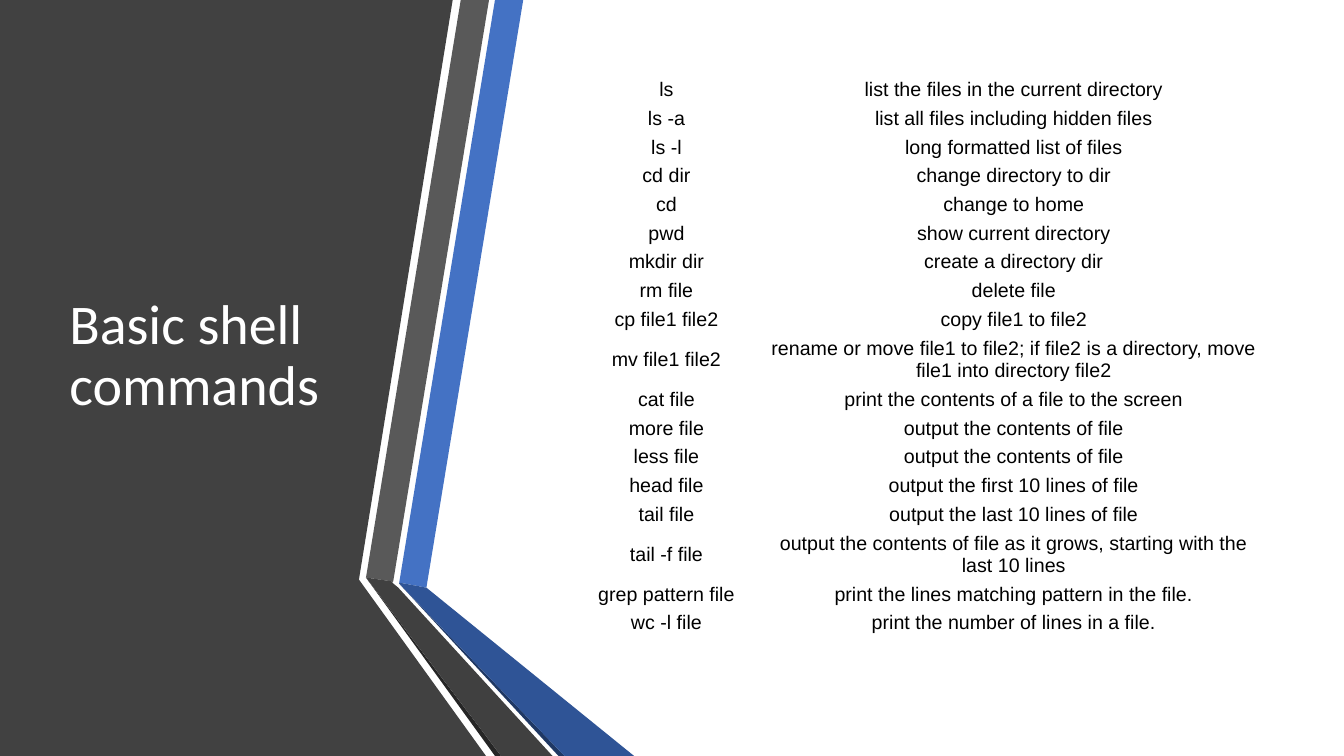
from pptx import Presentation
from pptx.dml.color import RGBColor
from pptx.enum.text import MSO_ANCHOR as Anchor, PP_ALIGN as Align
from pptx.util import Inches, Pt

WHITE = RGBColor(0xFF, 0xFF, 0xFF)
BLACK = RGBColor(0x00, 0x00, 0x00)
CHARCOAL = RGBColor(0x41, 0x41, 0x41)
GREY = RGBColor(0x59, 0x59, 0x59)
GREY_FOLD = RGBColor(0x40, 0x40, 0x40)
GREY_EDGE = RGBColor(0x26, 0x26, 0x26)
BLUE = RGBColor(0x44, 0x72, 0xC4)
BLUE_FOLD = RGBColor(0x2F, 0x54, 0x96)
BLUE_EDGE = RGBColor(0x1F, 0x38, 0x64)

CONTENT_TOP = 0.75
CONTENT_HEIGHT = 5.58
WRAPPED_ROW = 0.51
COLUMN_WIDTHS = (2.04, 4.85)

BANDS = [
    (CHARCOAL, [(0, 0), (4.49, 0), (3.56, 5.75), (4.82, 7.5), (0, 7.5)]),
    (BLUE, [(3.96, 5.78), (4.23, 5.83), (5.19, 0), (4.91, 0)]),
    (GREY, [(4.85, 0), (4.57, 0), (3.63, 5.73), (3.9, 5.77)]),
    (GREY_EDGE, [(3.63, 5.73), (4.91, 7.5), (4.97, 7.5)]),
    (BLUE_EDGE, [(3.96, 5.79), (5.54, 7.5), (5.6, 7.5)]),
    (BLUE_FOLD, [(3.96, 5.78), (3.96, 5.79), (5.6, 7.5), (6.29, 7.5), (4.23, 5.83)]),
    (GREY_FOLD, [(5.48, 7.5), (3.95, 5.83), (3.89, 5.78), (3.9, 5.77),
                 (3.63, 5.73), (4.97, 7.5)]),
]

COMMANDS = [
    ("ls", "list the files in the current directory"),
    ("ls -a", "list all files including hidden files"),
    ("ls -l", "long formatted list of files"),
    ("cd dir", "change directory to dir"),
    ("cd", "change to home"),
    ("pwd", "show current directory"),
    ("mkdir dir", "create a directory dir"),
    ("rm file", "delete file"),
    ("cp file1 file2", "copy file1 to file2"),
    ("mv file1 file2", "rename or move file1 to file2; if file2 is a directory, "
                       "move file1 into directory file2"),
    ("cat file", "print the contents of a file to the screen"),
    ("more file", "output the contents of file"),
    ("less file", "output the contents of file"),
    ("head file", "output the first 10 lines of file"),
    ("tail file", "output the last 10 lines of file"),
    ("tail -f file", "output the contents of file as it grows, starting with the "
                     "last 10 lines"),
    ("grep pattern file", "print the lines matching pattern in the file."),
    ("wc -l file", "print the number of lines in a file."),
]
WRAPPED_COMMANDS = {"mv file1 file2", "tail -f file"}


def set_format(target, values):
    for attribute, value in values.items():
        setattr(target, attribute, value)


def write_text(paragraph, text, font, size, color):
    run = paragraph.add_run()
    run.text = text
    set_format(run.font, {"name": font, "size": Pt(size)})
    run.font.color.rgb = color


def add_band(slide, color, corners):
    points = [(Inches(x), Inches(y)) for x, y in corners]
    outline = slide.shapes.build_freeform(*points[0])
    outline.add_line_segments(points[1:], close=True)
    band = outline.convert_to_shape()
    band.shadow.inherit = False
    band.fill.solid()
    band.fill.fore_color.rgb = color
    band.line.fill.background()


def add_title(slide, text):
    title = slide.shapes.add_textbox(
        Inches(0.59), Inches(CONTENT_TOP), Inches(3.04), Inches(CONTENT_HEIGHT))
    frame = title.text_frame
    set_format(frame, {"word_wrap": True, "vertical_anchor": Anchor.MIDDLE})
    frame.paragraphs[0].line_spacing = 0.9
    write_text(frame.paragraphs[0], text, "Calibri", 40, WHITE)


def fill_cell(cell, text):
    margin = Inches(0.01)
    set_format(cell, {
        "margin_left": margin, "margin_right": margin,
        "margin_top": margin, "margin_bottom": margin,
        "vertical_anchor": Anchor.MIDDLE,
    })
    cell.fill.background()
    paragraph = cell.text_frame.paragraphs[0]
    paragraph.alignment = Align.CENTER
    write_text(paragraph, text, "Arial", 14, BLACK)


def add_command_table(slide):
    table = slide.shapes.add_table(
        len(COMMANDS), len(COLUMN_WIDTHS), Inches(5.59), Inches(CONTENT_TOP),
        Inches(sum(COLUMN_WIDTHS)), Inches(CONTENT_HEIGHT)).table
    set_format(table, {"first_row": False, "horz_banding": False})
    for column, width in zip(table.columns, COLUMN_WIDTHS):
        column.width = Inches(width)

    wrapped_count = len(WRAPPED_COMMANDS)
    single_row = ((CONTENT_HEIGHT - wrapped_count * WRAPPED_ROW)
                  / (len(COMMANDS) - wrapped_count))
    for row, entry in zip(table.rows, COMMANDS):
        row.height = Inches(WRAPPED_ROW if entry[0] in WRAPPED_COMMANDS else single_row)
        for cell, text in zip(row.cells, entry):
            fill_cell(cell, text)


def main():
    deck = Presentation()
    set_format(deck, {"slide_width": Inches(13.33), "slide_height": Inches(7.5)})
    slide = deck.slides.add_slide(deck.slide_layouts[6])
    slide.background.fill.solid()
    slide.background.fill.fore_color.rgb = WHITE
    for color, corners in BANDS:
        add_band(slide, color, corners)
    add_title(slide, "Basic shell commands")
    add_command_table(slide)
    deck.save("out.pptx")


if __name__ == "__main__":
    main()
